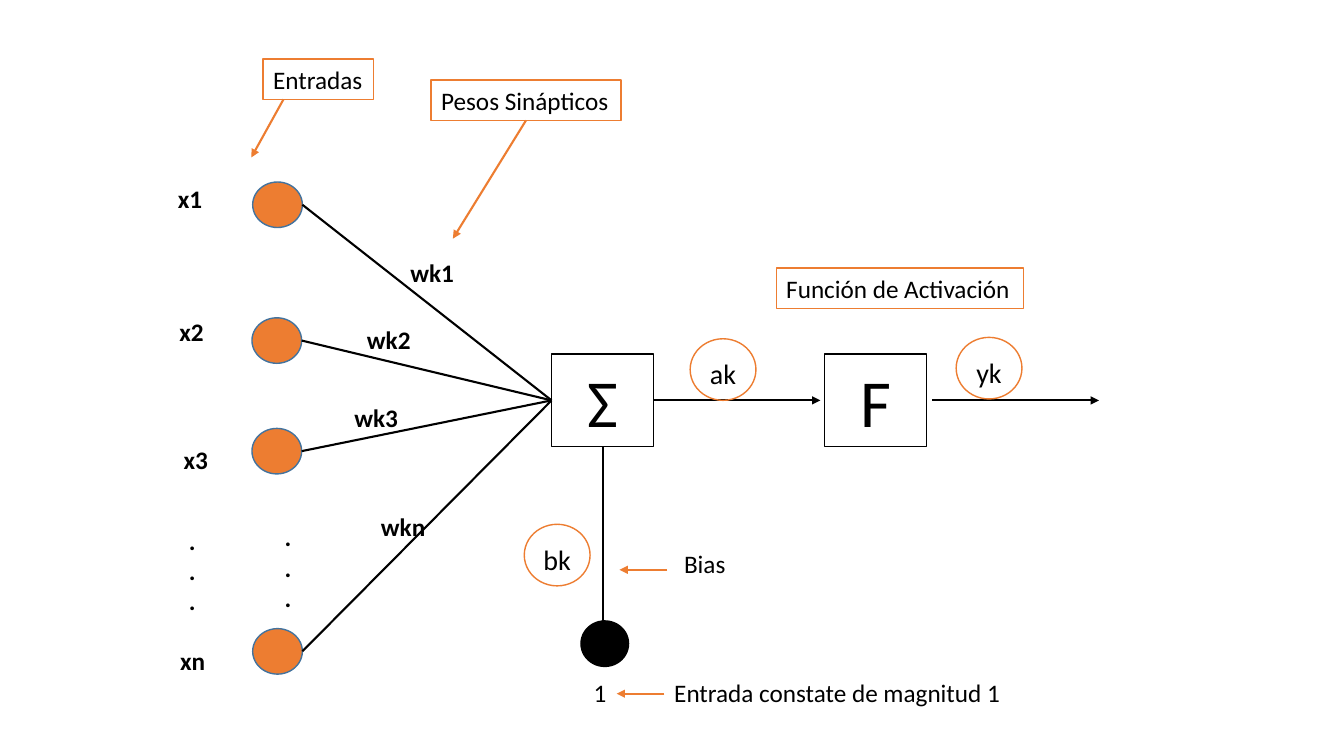
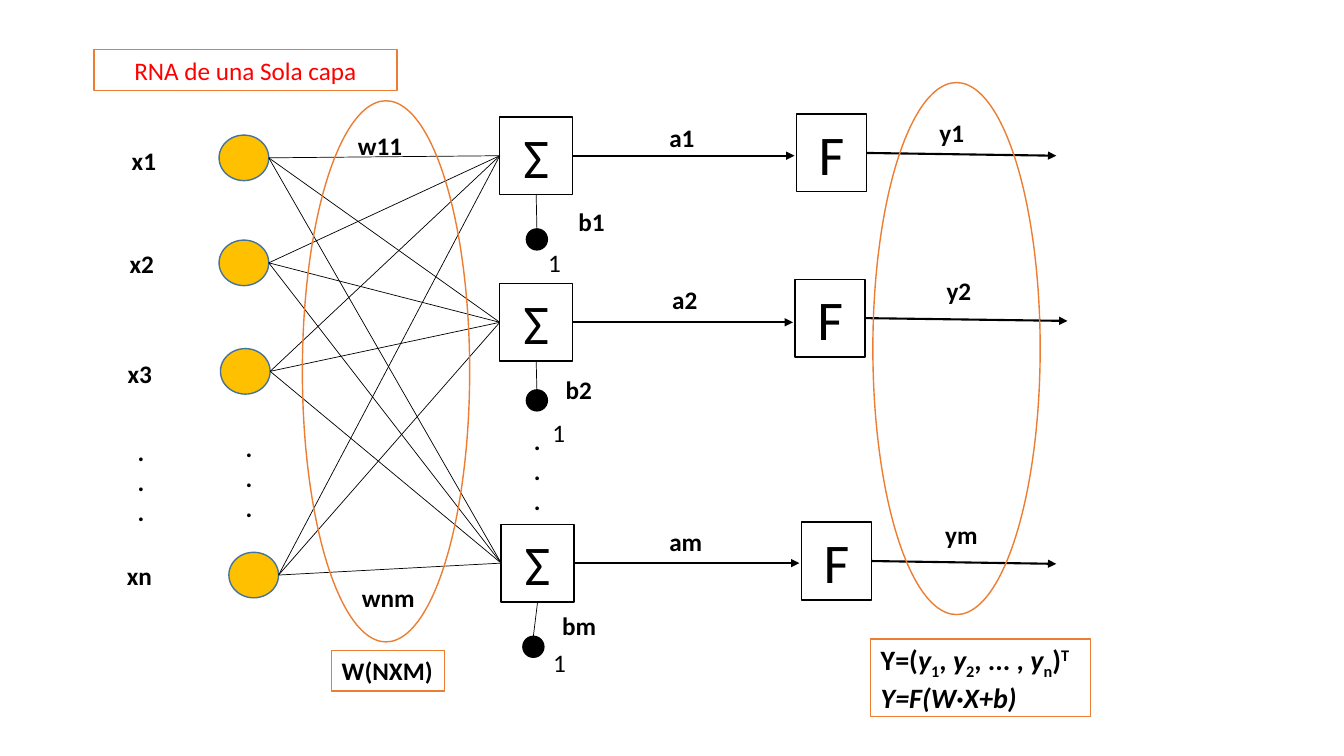
from dataclasses import dataclass

from lxml.etree import SubElement
from pptx import Presentation
from pptx.dml.color import RGBColor
from pptx.enum.shapes import MSO_CONNECTOR, MSO_SHAPE
from pptx.enum.text import MSO_ANCHOR, MSO_AUTO_SIZE, PP_ALIGN
from pptx.oxml.ns import qn
from pptx.util import Pt


@dataclass(frozen=True)
class Theme:
    """Colours, type sizes and line widths of the deck."""
    font: str = "Calibri"
    ink: str = "000000"
    paper: str = "FFFFFF"
    accent: str = "ED7D31"
    gold: str = "FFC000"
    red: str = "FF0000"
    rim: str = "43739E"
    body: float = 18
    large: float = 20
    unit: float = 40
    unit_big: float = 48
    hair: float = 0.5
    thin: float = 1
    thick: float = 1.5


T = Theme()
LABEL_H = 29
NODE = (35.5, 32.5)


def rgb(code):
    """Turn a hex code into a colour."""
    return RGBColor.from_string(code)


def write(sp, *lines, size=T.body, bold=False, color=T.ink, align=PP_ALIGN.LEFT, wrap=False):
    """Fill a shape with lines, each a string or a list of (text, italic, baseline)."""
    tf = sp.text_frame
    tf.word_wrap = wrap
    tf.auto_size = MSO_AUTO_SIZE.NONE
    tf.vertical_anchor = MSO_ANCHOR.MIDDLE
    for i, line in enumerate(lines):
        p = tf.add_paragraph() if i else tf.paragraphs[0]
        p.alignment = align
        for text, italic, base in [(line, False, 0)] if isinstance(line, str) else line:
            r = p.add_run()
            r.text = text
            f = r.font
            f.name, f.size, f.bold, f.italic = T.font, Pt(size), bold, italic
            f.color.rgb = rgb(color)
            if base:
                r._r.get_or_add_rPr().set("baseline", str(base * 1000))
    return sp


def paint(sp, fill, line):
    """Set the fill, or none, and the thin outline of a shape."""
    if fill:
        sp.fill.solid()
        sp.fill.fore_color.rgb = rgb(fill)
    else:
        sp.fill.background()
    sp.line.color.rgb = rgb(line)
    sp.line.width = Pt(T.thin)


def shape(s, kind, x, y, w, h, fill=None, line=T.accent):
    """Add a flat preset shape."""
    sp = s.shapes.add_shape(kind, Pt(x), Pt(y), Pt(w), Pt(h))
    sp.shadow.inherit = False
    paint(sp, fill, line)
    return sp


def oval(s, *box, **look):
    """Add an ellipse."""
    return shape(s, MSO_SHAPE.OVAL, *box, **look)


def label(s, text, x, y, w=32, h=LABEL_H, **fmt):
    """Add a plain text label."""
    return write(s.shapes.add_textbox(Pt(x), Pt(y), Pt(w), Pt(h)), text, **fmt)


def frame(s, x, y, w, h, *lines, **fmt):
    """Add a callout with an accent outline."""
    return write(shape(s, MSO_SHAPE.RECTANGLE, x, y, w, h, fill=T.paper), *lines, **fmt)


def dots(s, x, y):
    """Add three dots stacked by a narrow column."""
    label(s, "...", x, y, 11, 73, bold=True, wrap=True)


def unit(s, text, x, y, w, h, size):
    """Add a square processing unit."""
    sp = shape(s, MSO_SHAPE.RECTANGLE, x, y, w, h, fill=T.paper, line=T.ink)
    return write(sp, text, size=size, align=PP_ALIGN.CENTER, wrap=True)


def link(s, start, end, color=T.ink, width=T.thick, arrow=False):
    """Join two points with a line or an arrow."""
    cx = s.shapes.add_connector(MSO_CONNECTOR.STRAIGHT, *map(Pt, (*start, *end)))
    cx.line.color.rgb = rgb(color)
    cx.line.width = Pt(width)
    if arrow:
        SubElement(cx.line._get_or_add_ln(), qn("a:tailEnd"), type="triangle")
    SubElement(cx._element.spPr, qn("a:effectLst"))


def at(sp, fx, fy):
    """Give the point at fractions of the width and height of a shape."""
    return sp.left.pt + fx * sp.width.pt, sp.top.pt + fy * sp.height.pt


def input_layer(s, x, y, rows, gaps, fill):
    """Place the input names, nodes and dots, and return the nodes."""
    nodes = []
    for name, lx, ly, nx, ny in rows:
        label(s, name, x + lx, y + ly, bold=True)
        nodes.append(oval(s, x + nx, y + ny, *NODE, fill=fill, line=T.rim))
    for dx, dy in gaps:
        dots(s, x + dx, y + dy)
    return nodes


def signal(s, text, x, y):
    """Add a circled signal name."""
    sp = write(oval(s, x, y, 47, 44), text, size=T.large, align=PP_ALIGN.CENTER)
    tf = sp.text_frame
    tf.margin_left = tf.margin_right = tf.margin_bottom = 0
    tf.margin_top = Pt(6)


def single_unit(s, x, y):
    """Place the sum, the activation and their signals, and return the sum."""
    w, h = 73, 66
    total, act = (unit(s, t, x + dx, y, w, h, T.unit_big) for t, dx in (("Σ", 0), ("F", 195)))
    for dx in (w, 272):
        link(s, (x + dx, y + h / 2), (x + dx + 119, y + h / 2), arrow=True)
    for text, dx, dy in (("ak", 99, -11), ("yk", 289, -12), ("bk", -19.5, 121.5)):
        signal(s, text, x + dx, y + dy)
    return total


def bias_input(s, x, y, total):
    """Place the constant input below the sum with its notes."""
    ball = oval(s, x, y, 34, 32.5, fill=T.ink, line=T.ink)
    link(s, (x + 15.5, y), at(total, 0.5, 1))
    label(s, "1", x + 2, y + 36.5, 24)
    for text, dx, dy, w, tail, ay in (
        ("Bias", 66.5, -55.5, 104, 61.5, -36.5),
        ("Entrada constate de magnitud 1", 59.5, 36.5, 397, 59.5, 52),
    ):
        label(s, text, x + dx, y + dy, w)
        link(s, (x + tail, y + ay), (x + tail - 34, y + ay), T.accent, arrow=True)
    return ball


def callouts(s, x, y):
    """Place the framed names of the parts and their arrows."""
    for text, dx, dy, w, start, end in (
        ("Entradas", 0, 0, 79, 14.5, (-8.5, 70.5)),
        ("Pesos Sinápticos", 120, 15, 135.5, 67.75, (135.5, 128.5)),
        ("Función de Activación", 366.5, 149.5, 176.5, None, None),
    ):
        frame(s, x + dx, y + dy, w, LABEL_H, text)
        if end:
            tail = (x + dx + start, y + dy + LABEL_H)
            link(s, tail, (x + end[0], y + end[1]), T.accent, arrow=True)


def neuron_slide(prs):
    """Build the slide of a single neuron."""
    s = prs.slides.add_slide(prs.slide_layouts[6])
    nodes = input_layer(s, 120, 127, (
        ("x1", 0, 0, 60.5, 3),
        ("x2", 1, 95, 60, 100),
        ("x3", 4, 187, 60, 179),
        ("xn", 1.5, 330, 60.5, 322),
    ), ((79.5, 241.5), (11, 244)), T.accent)
    total = single_unit(s, 394, 253)
    weights = (("wk1", 286, 180), ("wk2", 255, 228), ("wk3", 246, 283.5), ("wkn", 265, 361.5))
    for node, (name, x, y) in zip(nodes, weights):
        link(s, at(node, 1, 0.5), at(total, 0, 0.5))
        label(s, name, x, y, 46, bold=True)
    bias_input(s, 415, 443.5, total)
    callouts(s, 188, 42)


def layer_unit(s, x, y, k, act, ball, tip, marks):
    """Place one neuron of the layer relative to its sum, and return the sum."""
    h = 55.5
    total = unit(s, "Σ", x, y, 52, h, T.unit)
    f = unit(s, "F", x + act[0], y + act[1], 50, h, T.unit)
    bias = oval(s, x + ball[0], y + ball[1], 15, 15, fill=T.ink, line=T.ink)
    link(s, at(total, 0.5, 1), at(bias, 0.5, 0), width=T.hair)
    start = at(total, 1, 0.5)
    link(s, start, (f.left.pt - 1.5, start[1]), arrow=True)
    out = at(f, 1, 0.5)
    link(s, out, (x + tip, out[1] + 2), arrow=True)
    for name, (dx, dy) in zip(("a" + k, "y" + k, "b" + k, "1"), marks):
        label(s, name, x + dx, y + dy, 38 if k == "m" else 32, bold=name != "1")
    return total


def groups(s, x, y):
    """Place the ovals around weights and outputs with their formulas."""
    oval(s, x, y + 13, 119.5, 386.5)
    oval(s, x + 407.5, y, 119.5, 380)
    frame(s, x + 21, y + 405.5, 80.5, LABEL_H, "W(NXM)", bold=True)
    vector = [("Y=(", False, 0), ("y", True, 0), ("1", False, -25), (", ", False, 0),
              ("y", True, 0), ("2", False, -25), (", ... , ", False, 0),
              ("y", True, 0), ("n", False, -25), (")", False, 0), ("T", False, 30)]
    frame(s, x + 406, y + 397.5, 157, 55.5, vector, [("Y=F(W·X+b)", True, 0)],
          size=T.large, bold=True)


def heading(s, text, x, y, w):
    """Format the title placeholder as a framed heading."""
    sp = s.shapes.title
    sp.left, sp.top, sp.width, sp.height = map(Pt, (x, y, w, LABEL_H))
    paint(sp, T.paper, T.accent)
    write(sp, text, color=T.red, align=PP_ALIGN.CENTER, wrap=True)


def layer_slide(prs):
    """Build the slide of a network with one layer."""
    s = prs.slides.add_slide(prs.slide_layouts[5])
    heading(s, "RNA de una Sola capa", 67, 35.5, 216.5)
    nodes = input_layer(s, 83.5, 96.5, (
        ("x1", 3.5, 3.5, 73, 0),
        ("x2", 2, 77.5, 73, 75),
        ("x3", 0.5, 156, 74, 152.5),
        ("xn", 0, 300, 80, 298),
    ), ((88, 208), (11, 211)), T.gold)
    totals = [layer_unit(s, *row) for row in (
        (357, 83.5, "1", (212, -2), (19, 80), 397.5,
         ((114, 0), (307, -3.5), (49, 60), (27.5, 89.5))),
        (357, 202.5, "2", (211, -3), (19, 76), 405.5,
         ((116, -3), (312, -9.5), (40, 61.5), (30.5, 91.5))),
        (358, 374.5, "m", (214.5, -1.5), (15.5, 80), 396.5,
         ((113, -2.5), (310, -7.5), (36.5, 57.5), (30, 84))),
    )]
    dots(s, 377.5, 299.5)
    for node in nodes:
        for total in totals:
            link(s, at(node, 1, 0.5), at(total, 0, 0.5), width=T.hair)
    label(s, "w11", 248.5, 89.5, 47, bold=True)
    label(s, "wnm", 251.5, 412.5, 52.5, bold=True)
    groups(s, 216, 59)


def main():
    """Build and save the deck."""
    prs = Presentation()
    prs.slide_width, prs.slide_height = Pt(960), Pt(540)
    neuron_slide(prs)
    layer_slide(prs)
    prs.save("out.pptx")


if __name__ == "__main__":
    main()
